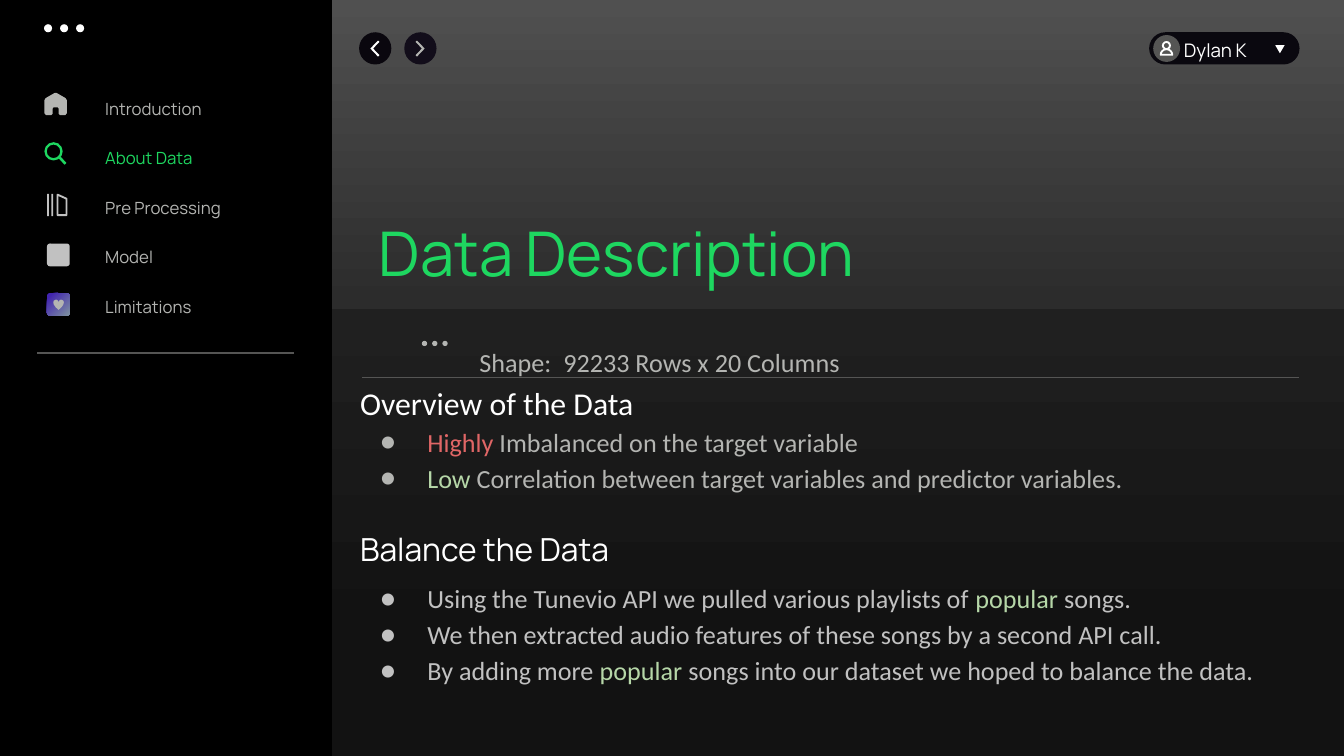
from collections import namedtuple
from dataclasses import dataclass
from math import cos, pi, sin

from lxml.etree import SubElement
from pptx import Presentation
from pptx.dml.color import RGBColor
from pptx.enum.shapes import MSO_CONNECTOR as LINK, MSO_SHAPE as SHAPE
from pptx.enum.text import MSO_ANCHOR, MSO_AUTO_SIZE as FIT, PP_ALIGN
from pptx.oxml.ns import qn
from pptx.util import Pt

Box = namedtuple("Box", "x y w h")


@dataclass(frozen=True)
class Theme:
    black: str = "000000"
    white: str = "FFFFFF"
    green: str = "1ED760"
    grey: str = "B4B5B2"
    light: str = "C1C1C1"
    rule: str = "555554"
    red: str = "E06666"
    mint: str = "B6D7A8"
    back: str = "0A070E"
    forward: str = "120D1A"
    pill: str = "0A080F"
    page: tuple = (("505050", 0), ("2C2C2C", 0.4))
    panel: tuple = (("202020", 0), ("121212", 0.73))
    like: tuple = (("4224B0", 0.11), ("7F93A0", 1))
    display: str = "Manrope"
    text: str = "Calibri"
    title_size: int = 33
    heading_size: int = 17
    body_size: int = 14
    user_size: int = 10
    menu_size: int = 9


T = Theme()


def rgb(color):
    return RGBColor.from_string(color)


def paint(fill, color, angle=270):
    """Fill with one colour, or with (colour, position) gradient stops."""
    if isinstance(color, str):
        fill.solid()
        fill.fore_color.rgb = rgb(color)
        return
    fill.gradient()
    fill.gradient_angle = angle
    for stop, (shade, position) in zip(fill.gradient_stops, color):
        stop.color.rgb, stop.position = rgb(shade), position


def finish(shape, color, outline=None, angle=270):
    shape.shadow.inherit = False
    if color:
        paint(shape.fill, color, angle)
    else:
        shape.fill.background()
    if outline:
        shape.line.color.rgb, shape.line.width = rgb(outline), Pt(1)
    else:
        shape.line.fill.background()
    return shape


def add_preset(shapes, kind, x, y, w, h, color, outline=None, adjust=None, angle=270):
    shape = shapes.add_shape(kind, Pt(x), Pt(y), Pt(w), Pt(h))
    if adjust is not None:
        shape.adjustments[0] = adjust
    return finish(shape, color, outline, angle)


def add_outline(shapes, x, y, points, color, outline=None):
    first, *rest = [(Pt(x + dx), Pt(y + dy)) for dx, dy in points]
    builder = shapes.build_freeform(*first, scale=1.0)
    builder.add_line_segments(rest, close=True)
    return finish(builder.convert_to_shape(), color, outline)


def add_line(shapes, x1, y1, x2, y2, color=T.rule, width=0.75):
    line = shapes.add_connector(LINK.STRAIGHT, Pt(x1), Pt(y1), Pt(x2), Pt(y2))
    line.line.color.rgb, line.line.width = rgb(color), Pt(width)
    SubElement(line.element.spPr, qn("a:effectLst"))


def add_dots(shapes, x, y, size, step, color):
    for i in range(3):
        add_preset(shapes, SHAPE.OVAL, x + i * step, y, size, size, color)


def prepare(shape, box, inset=(5, 3), fit=FIT.SHAPE_TO_FIT_TEXT):
    shape.left, shape.top, shape.width, shape.height = map(Pt, box)
    frame = shape.text_frame
    frame.word_wrap, frame.auto_size = True, fit
    frame.vertical_anchor = MSO_ANCHOR.TOP
    frame.margin_left = frame.margin_right = Pt(inset[0])
    frame.margin_top = frame.margin_bottom = Pt(inset[1])
    return frame


def write(paragraph, runs, size, font, spacing=1.0, bullet=None):
    paragraph.alignment = PP_ALIGN.LEFT
    paragraph.line_spacing = spacing
    paragraph.space_before = Pt(0)
    props = paragraph._p.get_or_add_pPr()
    props.set("marL", str(Pt(36) if bullet else 0))
    props.set("indent", str(Pt(-25.2) if bullet else 0))
    if bullet:
        SubElement(SubElement(props, qn("a:buClr")), qn("a:srgbClr"), val=bullet)
        SubElement(props, qn("a:buFont"), typeface=T.text)
        SubElement(props, qn("a:buChar"), char="●")
    else:
        SubElement(props, qn("a:buNone"))
    for text, color in runs:
        run = paragraph.add_run()
        run.text = text
        run.font.size, run.font.name = Pt(size), font
        run.font.color.rgb = rgb(color)


def add_label(shapes, box, text, color, size, font=T.display, spacing=1.0, **frame_options):
    label = shapes.add_textbox(0, 0, 0, 0)
    write(prepare(label, box, **frame_options).paragraphs[0], [(text, color)], size, font, spacing)


def place_list(shapes, body, box, items, bullet, heading=None):
    shapes.element.append(body.element)  # in front of the panels
    frame = prepare(body, box)
    rows = [(runs, T.body_size, bullet) for runs in items]
    if heading:
        rows.insert(0, ([(heading, T.white)], T.heading_size, None))
    for i, (runs, size, mark) in enumerate(rows):
        paragraph = frame.add_paragraph() if i else frame.paragraphs[0]
        write(paragraph, runs, size, T.text, 1.15, mark)


# Menu icons, each placed from its top left corner
def home_icon(shapes, x, y):
    half = [(6, 0), (5.5, 0.1), (0.6, 2.9), (0, 4), (0, 11), (0.8, 12), (3.7, 12),
            (4.4, 11.2), (4.4, 8.4), (4.9, 7.8)]
    add_outline(shapes, x, y, half + [(12 - px, py) for px, py in reversed(half)], T.grey)


def search_icon(shapes, x, y):
    add_preset(shapes, SHAPE.DONUT, x, y, 9.8, 9.8, T.green, adjust=0.13)
    add_line(shapes, x + 8.2, y + 8.2, x + 11.3, y + 11.6, T.green, 1.4)


def library_icon(shapes, x, y):
    for dx in (1.4, 3.7):
        add_preset(shapes, SHAPE.RECTANGLE, x + dx, y + 1.1, 1, 12, T.light)
    add_outline(shapes, x + 7, y + 1.6, [(0, 0), (4.8, 2.2), (4.8, 11), (0, 11)], None, T.light)


def model_icon(shapes, x, y, color=T.light):
    add_preset(shapes, SHAPE.ROUNDED_RECTANGLE, x + 1.4, y + 1.3, 12.2, 12.2, color,
               adjust=0.13, angle=315)


def heart_icon(shapes, x, y):
    model_icon(shapes, x, y, T.like)
    add_preset(shapes, SHAPE.HEART, x + 4.8, y + 4.7, 5.6, 5.6, T.grey)


def sidebar(shapes, box):
    add_preset(shapes, SHAPE.RECTANGLE, *box, T.black)
    add_dots(shapes, box.x + 23.6, box.y + 13, 4.3, 8.6, T.white)
    menu = [("Introduction", home_icon), ("About Data", search_icon),
            ("Pre Processing", library_icon), ("Model", model_icon), ("Limitations", heart_icon)]
    for i, (entry, draw_icon) in enumerate(menu):
        y = box.y + 49.7 + i * 26.5
        color = T.green if entry == "About Data" else T.grey
        draw_icon(shapes, box.x + 23.8, y)
        add_label(shapes, Box(box.x + 51.4, y, 92, 16.6), entry, color, T.menu_size)
    add_line(shapes, box.x + 20, box.y + 189.2, box.x + 157.5, box.y + 189.2)


def top_bar(shapes, box):
    # Back and forward buttons
    chevron = [(4.1, 8.6), (0, 4.3), (4.1, 0), (4.9, 0.7), (1.5, 4.3), (4.9, 7.9)]
    arrows = [(0, T.back, T.white, chevron),
              (24.2, T.forward, T.grey, [(4.9 - px, py) for px, py in chevron])]
    for dx, disc, mark, points in arrows:
        add_preset(shapes, SHAPE.OVAL, box.x + dx, box.y, box.h, box.h, disc)
        add_outline(shapes, box.x + dx + 6, box.y + 4.4, points, mark)
    # User pill
    x = box.x + box.w - 80.6
    add_preset(shapes, SHAPE.ROUNDED_RECTANGLE, x, box.y, 80.6, box.h, T.pill, adjust=0.5)
    add_label(shapes, Box(x + 13.7, box.y + 0.7, 54, 17.3), "Dylan K", T.white, T.user_size)
    add_preset(shapes, SHAPE.OVAL, x + 2.2, box.y + 1.5, 14.4, 14.4, T.rule)
    add_preset(shapes, SHAPE.OVAL, x + 7.4, box.y + 5.2, 3.8, 3.8, None, T.white)
    shoulders = [(3.1 * cos(a * pi / 8), -3 * sin(a * pi / 8)) for a in range(9)]
    add_outline(shapes, x + 9.3, box.y + 12.1, shoulders, None, T.white)
    add_preset(shapes, SHAPE.ISOSCELES_TRIANGLE, x + 68.2, box.y + 5.9, 5, 4.3, T.white).rotation = 60


def content(shapes, box, title, overview, balance):
    add_preset(shapes, SHAPE.RECTANGLE, *box, T.panel)
    shapes.element.append(title.element)  # in front of the panels
    heading = prepare(title, Box(box.x + 20.2, box.y - 53.3, 343.4, 45.4))
    write(heading.paragraphs[0], [("Data Description", T.green)], T.title_size, T.display)
    # Data shape above the rule
    add_dots(shapes, box.x + 48.2, box.y + 17, 2.8, 5.5, T.grey)
    add_label(shapes, Box(box.x + 72, box.y + 4.3, 268, 26), "Shape:  92233 Rows x 20 Columns",
              T.grey, T.body_size, T.text, 1.5, inset=(7.2, 7.2), fit=FIT.NONE)
    add_line(shapes, box.x + 16.2, box.y + 36.7, box.x + 518.2, box.y + 36.7)
    # Findings and remedy
    place_list(shapes, overview, Box(box.x + 10.1, box.y + 33.8, 506, 81.4), [
        [("Highly", T.red), (" Imbalanced on the target variable", T.grey)],
        [("Low", T.mint),
         (" Correlation between target variables and predictor variables.", T.grey)],
    ], T.grey, "Overview of the Data")
    add_label(shapes, Box(box.x + 10.1, box.y + 115.2, 193.7, 26), "Balance the Data",
              T.white, T.heading_size)
    place_list(shapes, balance, Box(box.x + 10.1, box.y + 141.1, 506, 77), [
        [("Using the Tunevio API we pulled various playlists of ", T.light),
         ("popular", T.mint), (" songs.", T.light)],
        [("We then extracted audio features of these songs by a second API call.", T.light)],
        [("By adding more ", T.light), ("popular", T.mint),
         (" songs into our dataset we hoped to balance the data.", T.light)],
    ], T.light)


def main():
    deck = Presentation()
    deck.slide_width, deck.slide_height = Pt(720), Pt(405)
    slide = deck.slides.add_slide(deck.slide_layouts[3])
    title, overview, balance = slide.placeholders
    paint(slide.background.fill, T.page)
    sidebar(slide.shapes, Box(0, 0, 177.8, 405))
    top_bar(slide.shapes, Box(192.4, 17.3, 503.8, 17.3))
    content(slide.shapes, Box(177.8, 165.6, 542.2, 239.4), title, overview, balance)
    deck.save("out.pptx")


if __name__ == "__main__":
    main()
